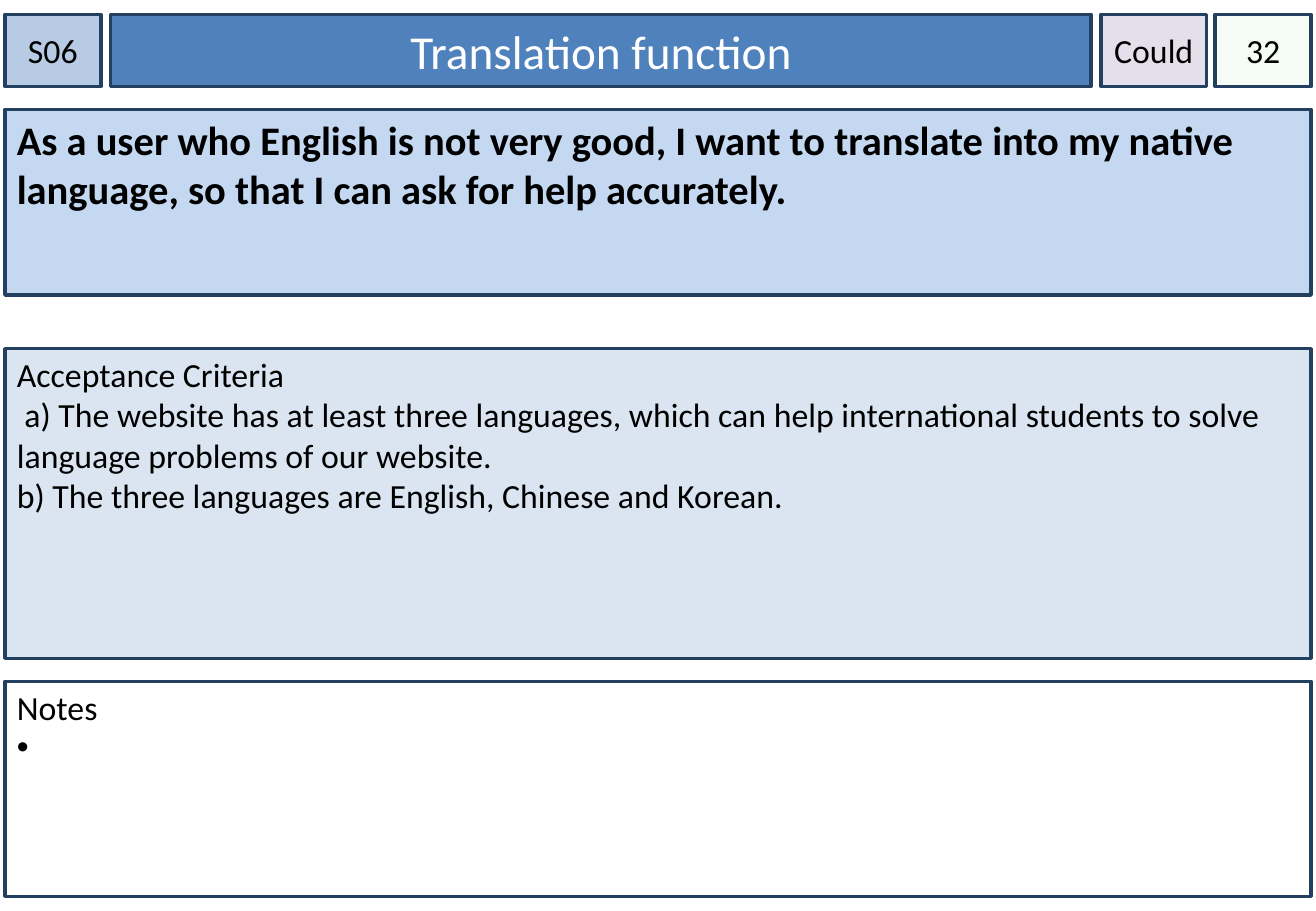
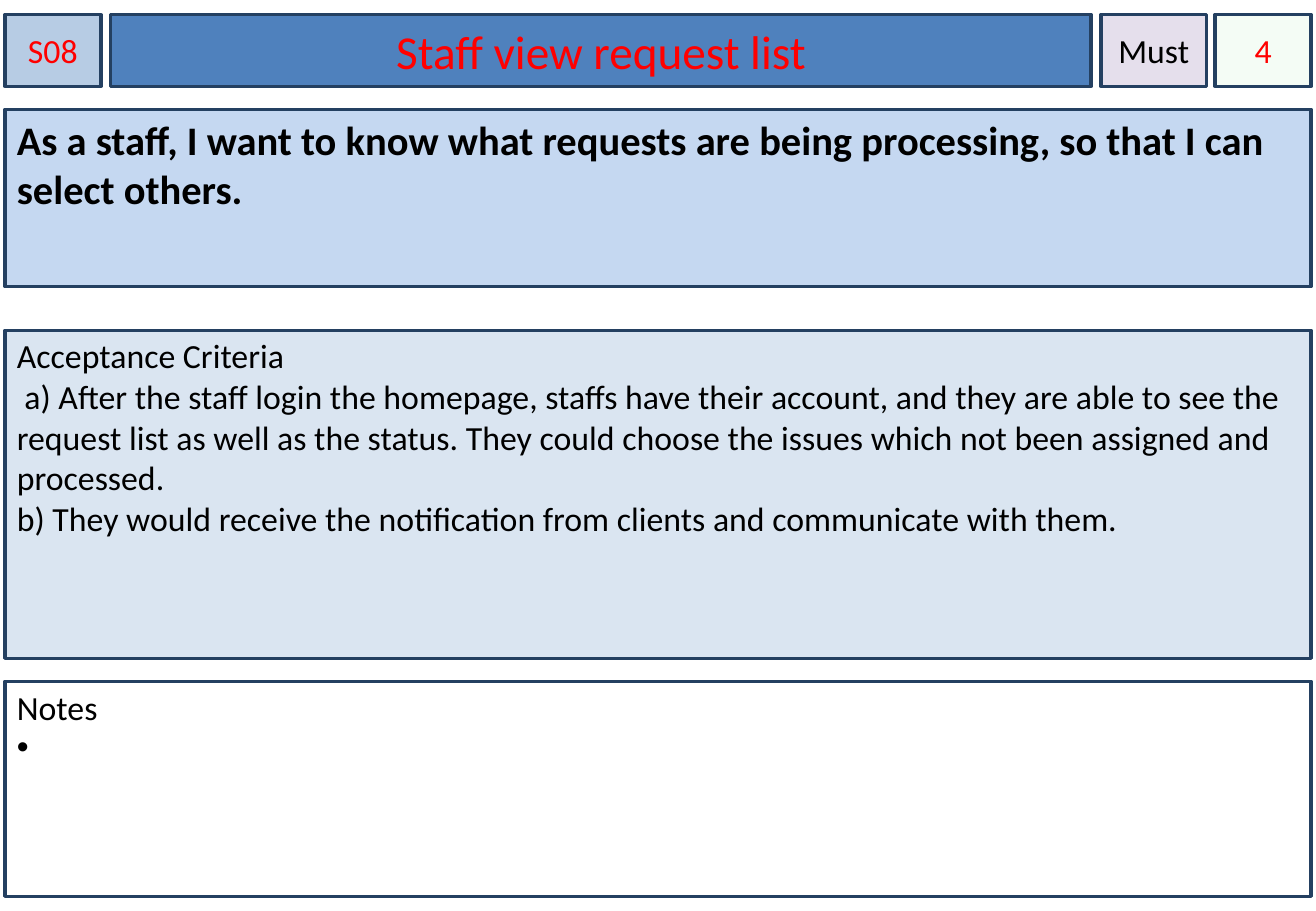
from lxml.etree import SubElement
from pptx import Presentation
from pptx.dml.color import RGBColor
from pptx.enum.shapes import MSO_SHAPE
from pptx.enum.text import MSO_ANCHOR, MSO_AUTO_SIZE, PP_ALIGN
from pptx.oxml.ns import qn
from pptx.util import Inches, Pt

COLORS = {
    "border": "244061", "id": "B7CCE4", "title": "4F81BD", "story": "C5D8F1",
    "criteria": "DAE5F1", "points": "CCF0CD", "priority": "E5DFEC",
    "notes": "FFFFFF", "black": "000000", "white": "FFFFFF", "red": "FF0000",
}
LEFT, WIDTH = 0.04, 10.75
HEADER_TOP, HEADER_HEIGHT = 0.12, 0.59
STORY_TOP, CRITERIA_BOTTOM = 0.9, 5.42
HEADER = {"align": PP_ALIGN.CENTER, "anchor": MSO_ANCHOR.MIDDLE, "inset": 0}
BODY = {"align": PP_ALIGN.LEFT, "anchor": MSO_ANCHOR.TOP, "inset": 0.1}

cards = [
    {
        "id": "S06", "title": "Translation function", "priority": "Could", "points": "32",
        "title_color": "white", "mark_color": "black",
        "story_height": 1.53, "criteria_top": 2.87,
        "story": "As a user who English is not very good, I want to translate into my "
                 "native language, so that I can ask for help accurately.",
        "criteria": [
            " a) The website has at least three languages, which can help international "
            "students to solve language problems of our website.",
            "b) The three languages are English, Chinese and Korean.",
        ],
    },
    {
        "id": "S08", "title": "Staff view request list", "priority": "Must", "points": "4",
        "title_color": "red", "mark_color": "red",
        "story_height": 1.46, "criteria_top": 2.72,
        "story": "As a staff, I want to know what requests are being processing, "
                 "so that I can select others.",
        "criteria": [
            " a) After the staff login the homepage, staffs have their account, and they "
            "are able to see the request list as well as the status. They could choose "
            "the issues which not been assigned and processed.",
            "b) They would receive the notification from clients and communicate with them.",
        ],
    },
]


def rgb(name):
    return RGBColor.from_string(COLORS[name])


def fill_panel(panel, place, fill, lines, style, size=20, color="black", bold=False):
    for side, value in zip(("left", "top", "width", "height"), place):
        setattr(panel, side, Inches(value))
    panel.fill.solid()
    panel.fill.fore_color.rgb = rgb(fill)
    panel.line.color.rgb = rgb("border")
    panel.line.width = Pt(2)
    frame = panel.text_frame
    frame_format = {
        "word_wrap": True, "auto_size": MSO_AUTO_SIZE.NONE,
        "vertical_anchor": style["anchor"],
        "margin_left": Inches(style["inset"]), "margin_right": Inches(style["inset"]),
        "margin_top": Inches(0.04 if len(lines) > 1 else 0.05),
        "margin_bottom": Inches(0.05),
    }
    for name, value in frame_format.items():
        setattr(frame, name, value)
    for index, line in enumerate(lines):
        paragraph = frame.add_paragraph() if index else frame.paragraphs[0]
        paragraph.alignment = style["align"]
        run = paragraph.add_run()
        run.text = line
        for name, value in {"name": "Calibri", "size": Pt(size), "bold": bold}.items():
            setattr(run.font, name, value)
        run.font.color.rgb = rgb(color)


prs = Presentation()
prs.slide_width, prs.slide_height = Inches(10.83), Inches(7.5)

for card in cards:
    slide = prs.slides.add_slide(prs.slide_layouts[5])
    fill_panel(slide.shapes.title, (0.91, HEADER_TOP, 8.07, HEADER_HEIGHT), "title",
               [card["title"]], {**HEADER, "inset": 0.1}, 28, card["title_color"])

    criteria_top = card["criteria_top"]
    panels = [
        ("id", (LEFT, HEADER_TOP, 0.79, HEADER_HEIGHT), [card["id"]], HEADER,
         {"color": card["mark_color"]}),
        ("story", (LEFT, STORY_TOP, WIDTH, card["story_height"]), [card["story"]], BODY,
         {"size": 24, "bold": True}),
        ("criteria", (LEFT, criteria_top, WIDTH, CRITERIA_BOTTOM - criteria_top),
         ["Acceptance Criteria", *card["criteria"]], BODY, {}),
        ("points", (10, HEADER_TOP, 0.79, HEADER_HEIGHT), [card["points"]], HEADER,
         {"color": card["mark_color"]}),
        ("priority", (9.06, HEADER_TOP, 0.87, HEADER_HEIGHT), [card["priority"]], HEADER, {}),
        ("notes", (LEFT, 5.61, WIDTH, 1.77), ["Notes", " "], BODY, {}),
    ]
    drawn = {}
    for part, place, lines, style, font in panels:
        panel = slide.shapes.add_shape(MSO_SHAPE.RECTANGLE, 0, 0, 0, 0)
        panel.shadow.inherit = False
        fill_panel(panel, place, part, lines, style, **font)
        drawn[part] = panel

    points_color = drawn["points"].fill._xPr.find(qn("a:solidFill")).find(qn("a:srgbClr"))
    SubElement(points_color, qn("a:alpha"), val="20000")

    bullet = drawn["notes"].text_frame.paragraphs[1]._p.get_or_add_pPr()
    bullet.set("marL", str(Inches(0.2)))
    bullet.set("indent", str(Inches(-0.2)))
    bullet_color = SubElement(bullet, qn("a:buClr"))
    SubElement(bullet_color, qn("a:srgbClr"), val=COLORS["black"])
    SubElement(bullet, qn("a:buFont"), typeface="Arial")
    SubElement(bullet, qn("a:buChar"), char="•")

prs.save("out.pptx")
